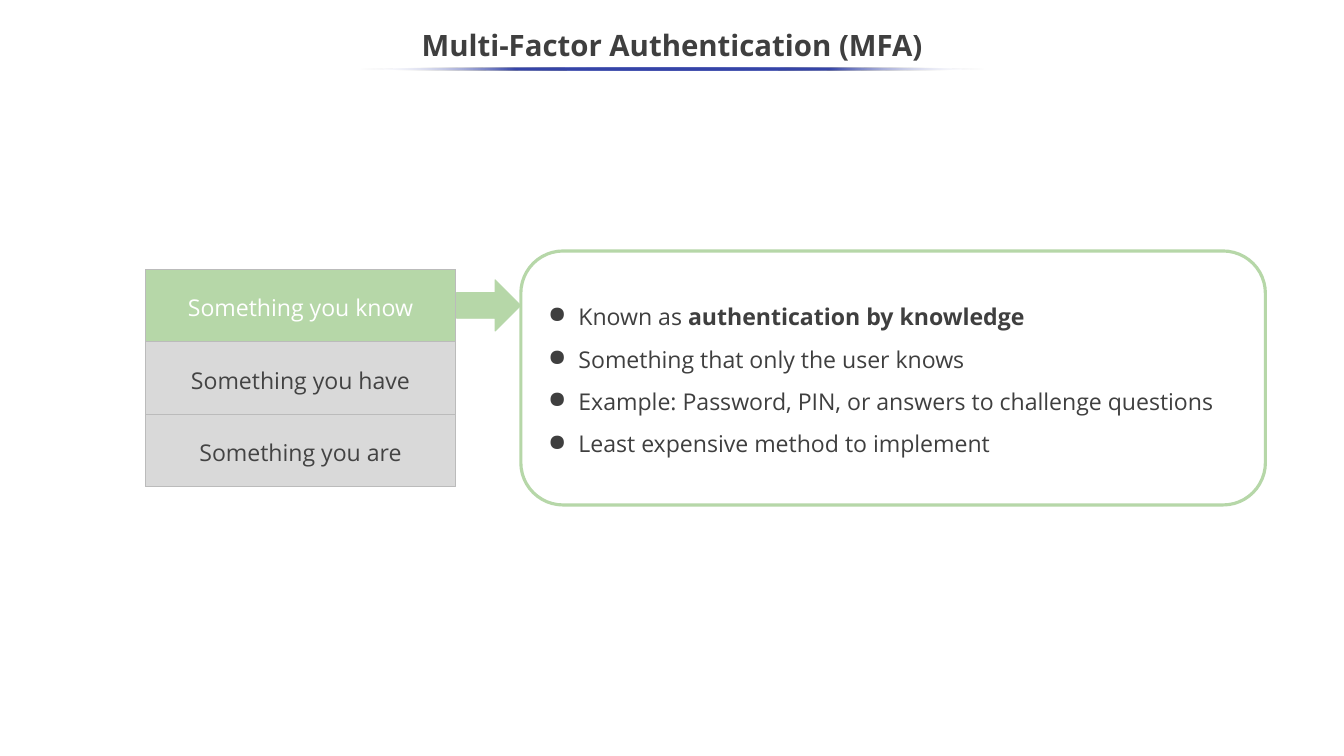
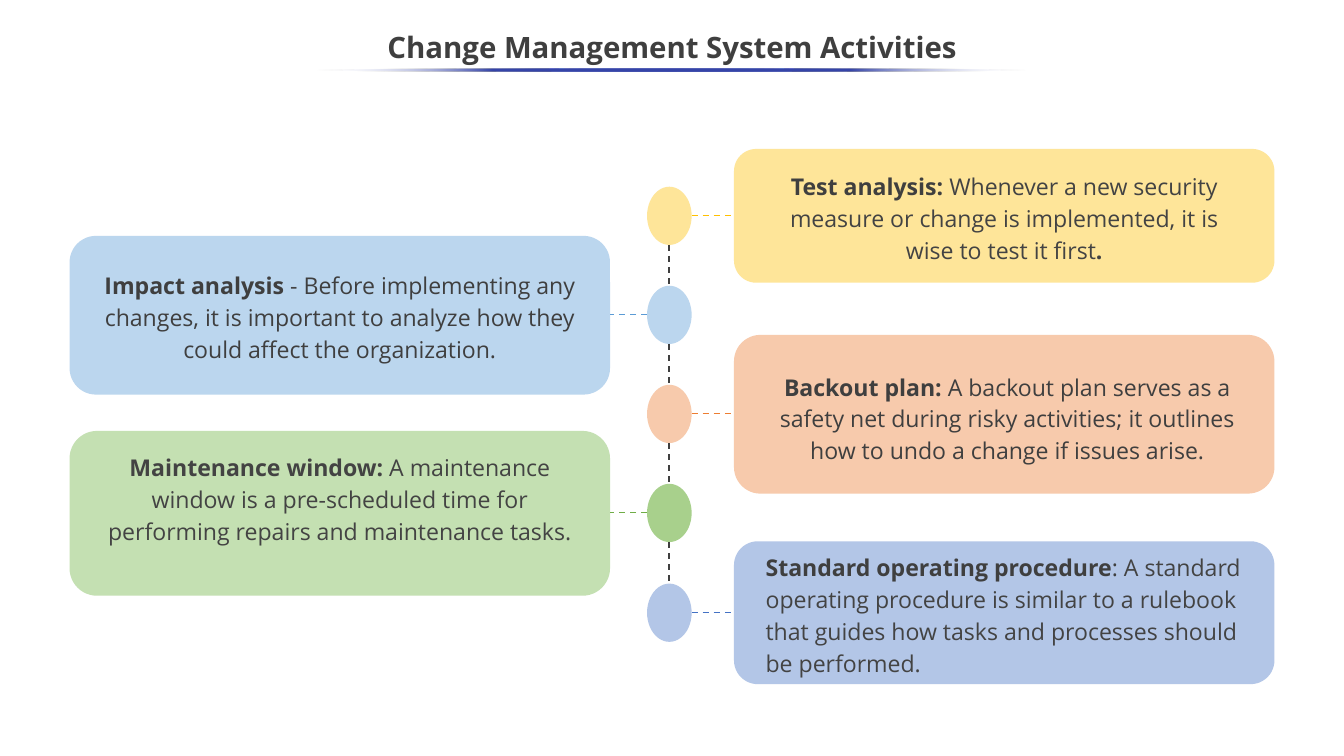
import pptx
import pptx.dml.color
import pptx.enum.dml
import pptx.enum.shapes
import pptx.enum.text
import pptx.oxml
import pptx.oxml.ns
import pptx.util

RGB = pptx.dml.color.RGBColor
SHAPE = pptx.enum.shapes.MSO_SHAPE
ALIGN = pptx.enum.text.PP_ALIGN
ANCHOR = pptx.enum.text.MSO_ANCHOR
AUTO_SIZE = pptx.enum.text.MSO_AUTO_SIZE

PX = 9144  # EMU in one px: 100 px to the inch
SLIDE_W, SLIDE_H = 1778, 1000
FONT = "Open Sans"

WHITE = RGB(0xFF, 0xFF, 0xFF)
INK = RGB(0x3F, 0x3F, 0x3F)
INK_SOFT = RGB(0x43, 0x43, 0x43)
RULE_BLUE = RGB(0x36, 0x45, 0xA9)
ACTIVE_GREEN = RGB(0xB6, 0xD7, 0xA8)
IDLE_GREY = RGB(0xD9, 0xD9, 0xD9)
BORDER_GREY = RGB(0xBB, 0xBB, 0xBB)
YELLOW, AMBER = RGB(0xFE, 0xE5, 0x99), RGB(0xFF, 0xC0, 0x00)
SKY, BLUE = RGB(0xBB, 0xD6, 0xEE), RGB(0x5B, 0x9B, 0xD5)
PEACH, ORANGE = RGB(0xF7, 0xCA, 0xAC), RGB(0xED, 0x7D, 0x31)
LIME, LEAF, GREEN = RGB(0xC4, 0xE0, 0xB2), RGB(0xA8, 0xD0, 0x8C), RGB(0x70, 0xAD, 0x47)
PERIWINKLE, COBALT = RGB(0xB3, 0xC6, 0xE7), RGB(0x44, 0x72, 0xC4)


def px(*lengths):
    return [round(length * PX) for length in lengths]


def xml(markup):
    """Parse one element whose tag has the a: prefix."""
    tag, rest = markup[1:].split(" ", 1)
    return pptx.oxml.parse_xml(f'<{tag} {pptx.oxml.ns.nsdecls("a")} {rest}')


def add_bullet(paragraph):
    properties = paragraph._p.get_or_add_pPr()
    properties.set("marL", str(50 * PX))
    properties.set("indent", str(-40 * PX))
    properties.append(xml(f'<a:buClr ><a:srgbClr val="{INK}"/></a:buClr>'))
    properties.append(xml('<a:buChar char="●"/>'))


def write(shape, paragraphs, size=22, color=INK, bold=False, align=ALIGN.CENTER,
          spacing=1.15, gap=0, bullets=False, anchor=ANCHOR.MIDDLE,
          insets=(10, 5), auto_size=AUTO_SIZE.NONE):
    """Fill a shape; each paragraph is a list of (text, bold, colour) runs or a string."""
    frame = shape.text_frame
    frame.word_wrap = True
    frame.auto_size = auto_size
    frame.vertical_anchor = anchor
    side, top = px(*insets)
    frame.margin_left = frame.margin_right = side
    frame.margin_top = frame.margin_bottom = top
    for i, runs in enumerate(paragraphs):
        paragraph = frame.add_paragraph() if i else frame.paragraphs[0]
        if bullets:
            add_bullet(paragraph)
        paragraph.alignment = align
        paragraph.line_spacing = spacing
        paragraph.space_before = pptx.util.Pt(gap if i else 0)
        if isinstance(runs, str):
            runs = [(runs, bold, color)]
        for text, run_bold, run_color in runs:
            run = paragraph.add_run()
            run.text = text
            run.font.name = FONT
            run.font.size = pptx.util.Pt(size)
            run.font.bold = run_bold
            run.font.color.rgb = run_color


def add_block(slide, preset, box, fill=None, line=None, line_width=0.75):
    block = slide.shapes.add_shape(preset, *px(*box))
    block.shadow.inherit = False
    if fill is None:
        block.fill.background()
    else:
        block.fill.solid()
        block.fill.fore_color.rgb = fill
    if line is None:
        block.line.fill.background()
    else:
        block.line.color.rgb = line
        block.line.width = pptx.util.Pt(line_width)
    return block


def add_dashes(slide, start, end, color):
    link = slide.shapes.add_connector(
        pptx.enum.shapes.MSO_CONNECTOR.STRAIGHT, *px(*start, *end))
    link.line.color.rgb = color
    link.line.width = pptx.util.Pt(1.5)
    link.line.dash_style = pptx.enum.dml.MSO_LINE.DASH
    link._element.spPr.append(xml("<a:effectLst />"))


def add_title(slide, text, top, rule_box):
    """Format the title placeholder and lay the fading rule under it."""
    title = slide.shapes.title
    title.left, title.top, title.width, title.height = px(-1, top, SLIDE_W + 2, 75)
    write(title, [text], size=28, bold=True, spacing=0.9)

    rule = add_block(slide, SHAPE.OVAL, rule_box, WHITE)
    clear = f'<a:srgbClr val="{WHITE}"><a:alpha val="0"/></a:srgbClr>'
    solid = f'<a:srgbClr val="{RULE_BLUE}"/>'
    stops = "".join(f'<a:gs pos="{percent * 1000}">{color}</a:gs>' for percent, color in
                    ((0, clear), (25, solid), (50, solid), (75, solid), (100, clear)))
    gradient = xml(f'<a:gradFill rotWithShape="1"><a:gsLst>{stops}</a:gsLst>'
                   '<a:lin ang="10800000" scaled="0"/></a:gradFill>')
    properties = rule._element.spPr
    properties.replace(properties.find(pptx.oxml.ns.qn("a:solidFill")), gradient)


def add_factor_menu(slide, box, factors):
    """Stack the factors in the box, with the first one active."""
    left, top, width, height = box
    row_height = height // len(factors)
    for i, factor in enumerate(factors):
        fill, color = (IDLE_GREY, INK_SOFT) if i else (ACTIVE_GREEN, WHITE)
        row = add_block(slide, SHAPE.RECTANGLE,
                        (left, top + i * row_height, width, row_height), fill, BORDER_GREY)
        write(row, [factor], color=color, insets=(7, 7))


def add_factor_details(slide, box, details):
    """Outline the details, with an arrow leading in from the active factor."""
    left, top, width, height = box
    panel = add_block(slide, SHAPE.ROUNDED_RECTANGLE, box, line=ACTIVE_GREEN, line_width=3)
    write(panel, details, align=ALIGN.LEFT, gap=10, bullets=True, insets=(10, 10))
    add_block(slide, SHAPE.RIGHT_ARROW, (left - 85, top + 38, 85, 68),
              ACTIVE_GREEN, ACTIVE_GREEN)


def add_activity_card(slide, box, fill, text_offset, runs, align=ALIGN.CENTER, text_height=135):
    left, top, width, height = box
    add_block(slide, SHAPE.ROUNDED_RECTANGLE, box, fill)
    dx, dy = text_offset
    description = slide.shapes.add_textbox(*px(left + dx, top + dy, 651, text_height))
    write(description, [runs], align=align, anchor=ANCHOR.TOP,
          auto_size=AUTO_SIZE.SHAPE_TO_FIT_TEXT)


def add_timeline(slide, box, stops, left_cards_edge, right_cards_edge):
    """Spread the ovals down the box and link each to its card and to the next oval."""
    left, top, width, height = box
    oval_height = 77
    tops = [top + i * (height - oval_height) // (len(stops) - 1) for i in range(len(stops))]
    for i, (oval_top, (fill, link_color)) in enumerate(zip(tops, stops)):
        add_block(slide, SHAPE.OVAL, (left, oval_top, width, oval_height), fill)
        middle = oval_top + oval_height // 2
        start, end = (left, left_cards_edge) if i % 2 else (left + width, right_cards_edge)
        add_dashes(slide, (start, middle), (end, middle), link_color)
    center = left + width // 2
    for oval_top, next_top in zip(tops, tops[1:]):
        add_dashes(slide, (center, oval_top + oval_height), (center, next_top), INK)


def build_authentication(slide):
    add_title(slide, "Multi-Factor Authentication (MFA)", 25, (475, 89, 829, 4))
    add_factor_menu(slide, (192, 356, 411, 288),
                    ["Something you know", "Something you have", "Something you are"])
    add_factor_details(slide, (689, 332, 985, 336), [
        [("Known as ", False, INK), ("authentication by knowledge", True, INK)],
        "Something that only the user knows",
        "Example: Password, PIN, or answers to challenge questions",
        "Least expensive method to implement",
    ])


def build_change_management(slide):
    add_title(slide, "Change Management System Activities", 27, (418, 91, 941, 4))
    left_column, right_column, card_width = 92, 971, 715
    add_activity_card(slide, (left_column, 312, card_width, 210), SKY, (32, 37), [
        ("Impact analysis ", True, INK), ("- ", False, INK_SOFT),
        ("Before implementing any changes, it is important to analyze how they "
         "could affect the organization.", False, INK)])
    add_activity_card(slide, (left_column, 570, card_width, 218), LIME, (32, 20), [
        ("Maintenance window:", True, INK_SOFT),
        (" A maintenance window is a pre-scheduled time for performing repairs "
         "and maintenance tasks.", False, INK_SOFT)])
    add_activity_card(slide, (right_column, 197, card_width, 177), YELLOW, (32, 21), [
        ("Test analysis: ", True, INK),
        ("Whenever a new security measure or change is implemented, it is wise "
         "to test it first", False, INK_SOFT), (".", True, INK_SOFT)])
    add_activity_card(slide, (right_column, 443, card_width, 210), PEACH, (36, 40), [
        ("Backout plan: ", True, INK),
        ("A backout plan serves as a safety net during risky activities; it "
         "outlines how to undo a change if issues arise.", False, INK)])
    add_activity_card(slide, (right_column, 716, card_width, 189), PERIWINKLE, (32, 6), [
        ("Standard operating procedure", True, INK), (": ", False, INK),
        ("A standard operating procedure is similar to a rulebook that guides "
         "how tasks and processes should be performed.", False, INK_SOFT)],
        align=ALIGN.LEFT, text_height=178)
    add_timeline(slide, (856, 247, 59, 602),
                 [(YELLOW, AMBER), (SKY, BLUE), (PEACH, ORANGE), (LEAF, GREEN),
                  (PERIWINKLE, COBALT)],
                 left_column + card_width, right_column)


def main():
    deck = pptx.Presentation()
    deck.slide_width, deck.slide_height = px(SLIDE_W, SLIDE_H)
    title_only = deck.slide_layouts[5]
    for build in (build_authentication, build_change_management):
        build(deck.slides.add_slide(title_only))
    deck.save("out.pptx")


if __name__ == "__main__":
    main()
